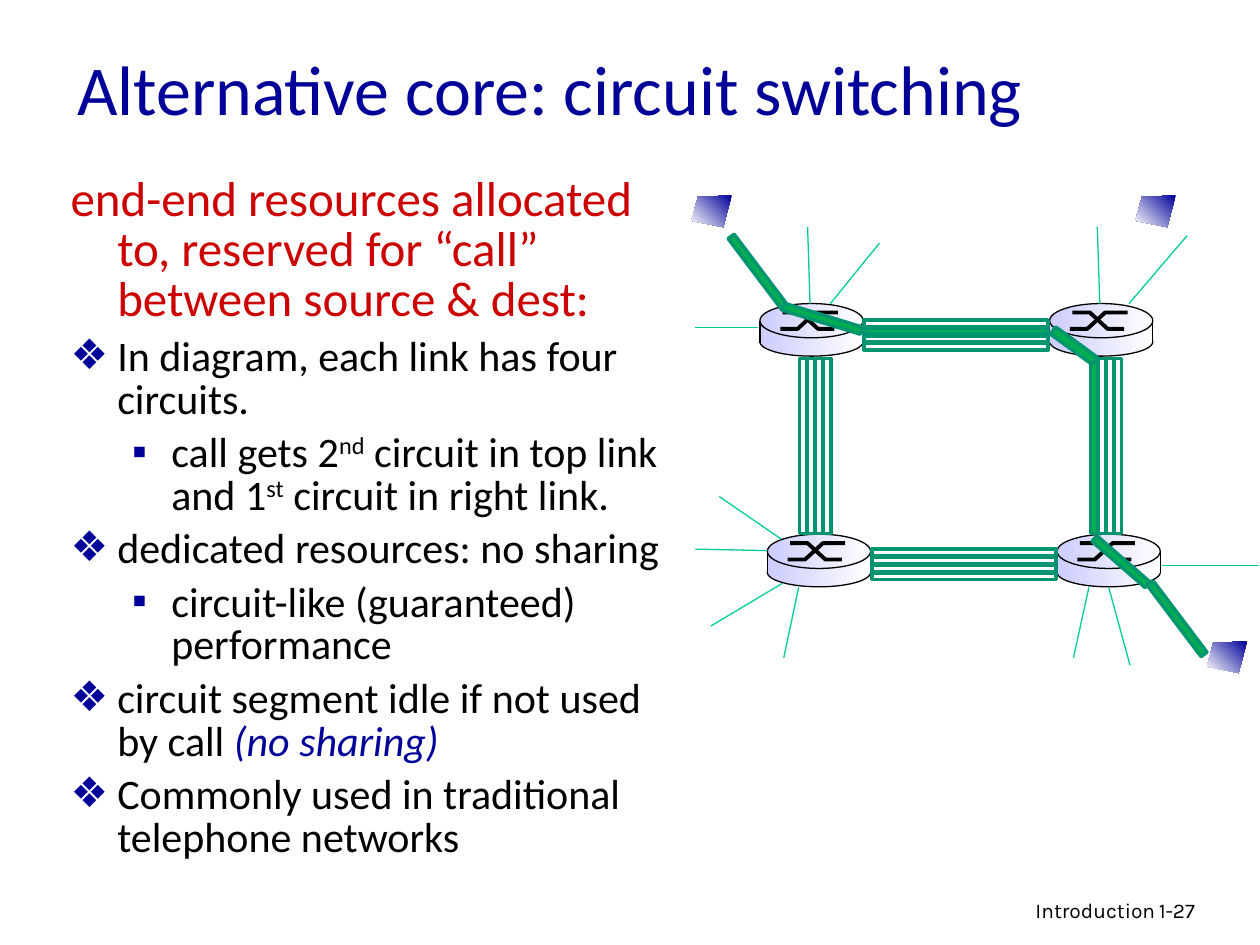
from lxml import etree
from pptx import Presentation
from pptx.dml.color import RGBColor
from pptx.enum.shapes import MSO_CONNECTOR, MSO_SHAPE
from pptx.enum.text import MSO_ANCHOR, MSO_AUTO_SIZE, PP_ALIGN
from pptx.oxml.ns import qn
from pptx.util import Cm, Pt

STRAIGHT = MSO_CONNECTOR.STRAIGHT
RECTANGLE, OVAL = MSO_SHAPE.RECTANGLE, MSO_SHAPE.OVAL
LEFT, RIGHT = PP_ALIGN.LEFT, PP_ALIGN.RIGHT
TOP, MIDDLE = MSO_ANCHOR.TOP, MSO_ANCHOR.MIDDLE
NO_AUTOFIT = MSO_AUTO_SIZE.NONE

COLORS = {
    "navy": "000099", "red": "CC0000", "black": "000000", "white": "FFFFFF",
    "lavender": "CCCCFF", "circuit": "00956F", "call": "00B050", "access": "00CC98",
}

TITLE = "Alternative core: circuit switching"
LEAD = "end-end resources allocated to, reserved for “call” between source & dest:"
POINTS = [
    (0, [("In diagram, each link has four circuits.", "")]),
    (1, [("call gets 2", ""), ("nd", "super"), (" circuit in top link and 1", ""),
         ("st", "super"), (" circuit in right link.", "")]),
    (0, [("dedicated resources: no sharing", "")]),
    (1, [("circuit-like (guaranteed) performance", "")]),
    (0, [("circuit segment idle if not used by call ", ""), ("(no sharing)", "emphasis")]),
    (0, [("Commonly used in traditional telephone networks", "")]),
]
FOOTERS = [
    ("Introduction", (15.49, 17.96, 8.05, 0.79), RIGHT),
    ("1-27", (23.11, 17.96, 1.88, 0.76), LEFT),
]
INDENTS = [(0.97, -0.94), (2.06, -0.79)]
BULLETS = ["❖", "▪"]

HOSTS = [(13.94, 3.94), (22.89, 3.94), (24.33, 12.93)]
HOST_OUTLINE = [(0.81, 0), (0.13, 0.03), (0, 0.51), (0.64, 0.64)]
ROUTERS = [(15.32, 6.12), (21.16, 6.12), (15.47, 10.77), (21.31, 10.77)]
ROUTER_WIDTH = 2.08
ROUTER_PARTS = [(OVAL, 0.48, 0.58), (RECTANGLE, 0.43, 0.36), (OVAL, 0, 0.69)]
ROUTER_CROSS = [
    [(0.41, 0.51), (0.76, 0.51), (1.12, 0.18), (1.57, 0.18)],
    [(0.46, 0.18), (0.81, 0.18), (1.17, 0.51), (1.5, 0.51)],
]
CIRCUITS_PER_LINK = 4
CIRCUIT_PITCH = 0.16
LINKS = [
    {"box": (17.42, 6.45, 3.71, 0.13), "step": (0, CIRCUIT_PITCH), "call": 1},
    {"box": (17.58, 11.07, 3.71, 0.13), "step": (0, CIRCUIT_PITCH), "call": None},
    {"box": (16.12, 7.23, 0.15, 3.53), "step": (CIRCUIT_PITCH, 0), "call": None},
    {"box": (21.98, 7.23, 0.15, 3.53), "step": (CIRCUIT_PITCH, 0), "call": 0},
]
CALL_SEGMENTS = [
    ((14.38, 5.41, 1.8, 0.15), 53),
    ((22.83, 12.4, 1.8, 0.15), 53),
    ((15.75, 6.35, 1.65, 0.15), 17),
    ((21.89, 11.25, 1.42, 0.15), 41),
    ((21.13, 6.88, 1.04, 0.18), 36),
]
ACCESS_LINES = [
    (16.28, 4.57, 16.33, 6.12), (17.73, 4.9, 16.74, 6.12), (14.02, 6.6, 15.29, 6.6),
    (14.02, 11.07, 15.47, 11.1), (14.5, 10.01, 15.75, 10.87), (14.33, 12.62, 15.77, 11.76),
    (15.8, 13.26, 16.1, 11.84), (25.37, 11.4, 23.42, 11.4), (22.78, 13.41, 22.35, 11.84),
    (21.64, 13.26, 21.95, 11.84), (22.12, 4.57, 22.17, 6.12), (23.93, 4.75, 22.76, 6.12),
]


def rgb(name):
    return RGBColor.from_string(COLORS[name])


def lengths(values):
    return [Cm(value) for value in values]


def set_font(font, name, size, color):
    font.name, font.size = name, Pt(size)
    font.color.rgb = rgb(color)


def place(shape, box, anchor):
    shape.left, shape.top, shape.width, shape.height = lengths(box)
    frame = shape.text_frame
    frame.word_wrap = True
    frame.auto_size = NO_AUTOFIT
    frame.vertical_anchor = anchor
    return frame


def set_bullet(paragraph, level, bullet):
    properties = paragraph._p.get_or_add_pPr()
    margin, indent = INDENTS[level]
    properties.set("marL", str(Cm(margin)))
    properties.set("indent", str(Cm(indent)))
    if bullet is None:
        etree.SubElement(properties, qn("a:buNone"))
        return
    color = etree.SubElement(properties, qn("a:buClr"))
    etree.SubElement(color, qn("a:srgbClr"), val=COLORS["navy"])
    etree.SubElement(properties, qn("a:buChar"), char=bullet)


def format_item(paragraph, level, bullet, size, color, before):
    paragraph.level = level
    set_bullet(paragraph, level, bullet)
    paragraph.line_spacing = 0.85
    paragraph.space_before = Pt(before)
    set_font(paragraph.font, "Calibri", size, color)


def style(shape, fill=None, line=None, width=0.75):
    shape.shadow.inherit = False
    if fill:
        shape.fill.solid()
        shape.fill.fore_color.rgb = rgb(fill)
    else:
        shape.fill.background()
    if line:
        shape.line.color.rgb = rgb(line)
        shape.line.width = Pt(width)
    else:
        shape.line.fill.background()


def set_gradient(shape, start, angle):
    shape.fill.gradient()
    shape.fill.gradient_angle = angle
    for stop, color, position in zip(shape.fill.gradient_stops, (start, "white"), (0, 1)):
        stop.color.rgb = rgb(color)
        stop.position = position


def add_outline(shapes, origin, offsets, close):
    points = [(Cm(origin[0] + x), Cm(origin[1] + y)) for x, y in offsets]
    builder = shapes.build_freeform(*points[0])
    builder.add_line_segments(points[1:], close=close)
    return builder.convert_to_shape()


def add_line(shapes, ends, color):
    connector = shapes.add_connector(STRAIGHT, *lengths(ends))
    connector.line.color.rgb = rgb(color)
    connector.line.width = Pt(0.75)
    etree.SubElement(connector._element.spPr, qn("a:effectLst"))


def add_router(shapes, x, y):
    for kind, offset, height in ROUTER_PARTS:
        part = shapes.add_shape(kind, *lengths((x, y + offset, ROUTER_WIDTH, height)))
        style(part, line="black" if kind == OVAL else None)
        set_gradient(part, "lavender", 0)
    for offsets in ROUTER_CROSS:
        style(add_outline(shapes, (x, y), offsets, False), line="black", width=2.25)
    for side in (x, x + ROUTER_WIDTH):
        add_line(shapes, (side, y + 0.36, side, y + 0.79), "black")


def add_circuit(shapes, box, carries_call, rotation=0):
    circuit = shapes.add_shape(RECTANGLE, *lengths(box))
    style(circuit, "call" if carries_call else None, "circuit", 2)
    circuit.rotation = rotation


def add_text(slide):
    frame = place(slide.shapes.title, (1.3, 0.76, 21.59, 2.01), MIDDLE)
    frame.text = TITLE
    frame.paragraphs[0].alignment = LEFT
    set_font(frame.paragraphs[0].font, "Calibri", 40, "navy")

    frame = place(slide.placeholders[1], (1.14, 3.43, 12.4, 12.9), TOP)
    frame.text = LEAD
    format_item(frame.paragraphs[0], 0, None, 28, "red", 7)
    for level, pieces in POINTS:
        paragraph = frame.add_paragraph()
        format_item(paragraph, level, BULLETS[level], 24, "black", 6)
        for text, kind in pieces:
            run = paragraph.add_run()
            run.text = text
            if kind == "super":
                run._r.get_or_add_rPr().set("baseline", "30000")
            elif kind == "emphasis":
                run.font.italic = True
                run.font.color.rgb = rgb("navy")

    for text, box, alignment in FOOTERS:
        frame = place(slide.shapes.add_textbox(*lengths(box)), box, TOP)
        frame.text = text
        frame.paragraphs[0].alignment = alignment
        set_font(frame.paragraphs[0].font, "Karla", 12, "black")


def add_network(shapes):
    for origin in HOSTS:
        host = add_outline(shapes, origin, HOST_OUTLINE, True)
        style(host)
        set_gradient(host, "navy", 225)
    for x, y in ROUTERS:
        add_router(shapes, x, y)
    for link in LINKS:
        x, y, width, height = link["box"]
        step_x, step_y = link["step"]
        for index in range(CIRCUITS_PER_LINK):
            box = (x + index * step_x, y + index * step_y, width, height)
            add_circuit(shapes, box, index == link["call"])
    for ends in ACCESS_LINES:
        add_line(shapes, ends, "access")
    for box, rotation in CALL_SEGMENTS:
        add_circuit(shapes, box, True, rotation)


def main():
    presentation = Presentation()
    presentation.slide_width, presentation.slide_height = Cm(25.4), Cm(19.05)
    slide = presentation.slides.add_slide(presentation.slide_layouts[1])
    add_text(slide)
    add_network(slide.shapes)
    presentation.save("out.pptx")


if __name__ == "__main__":
    main()
